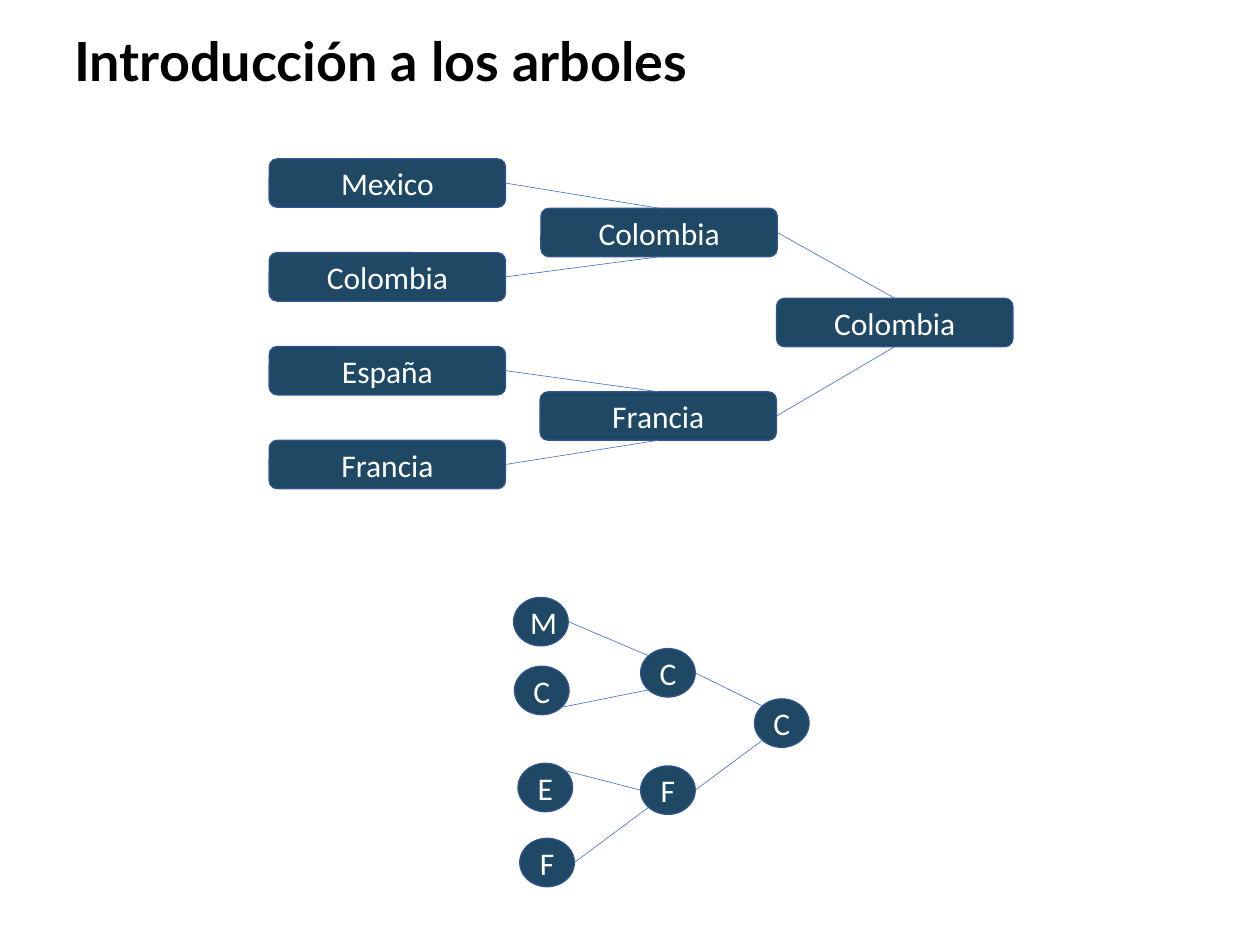
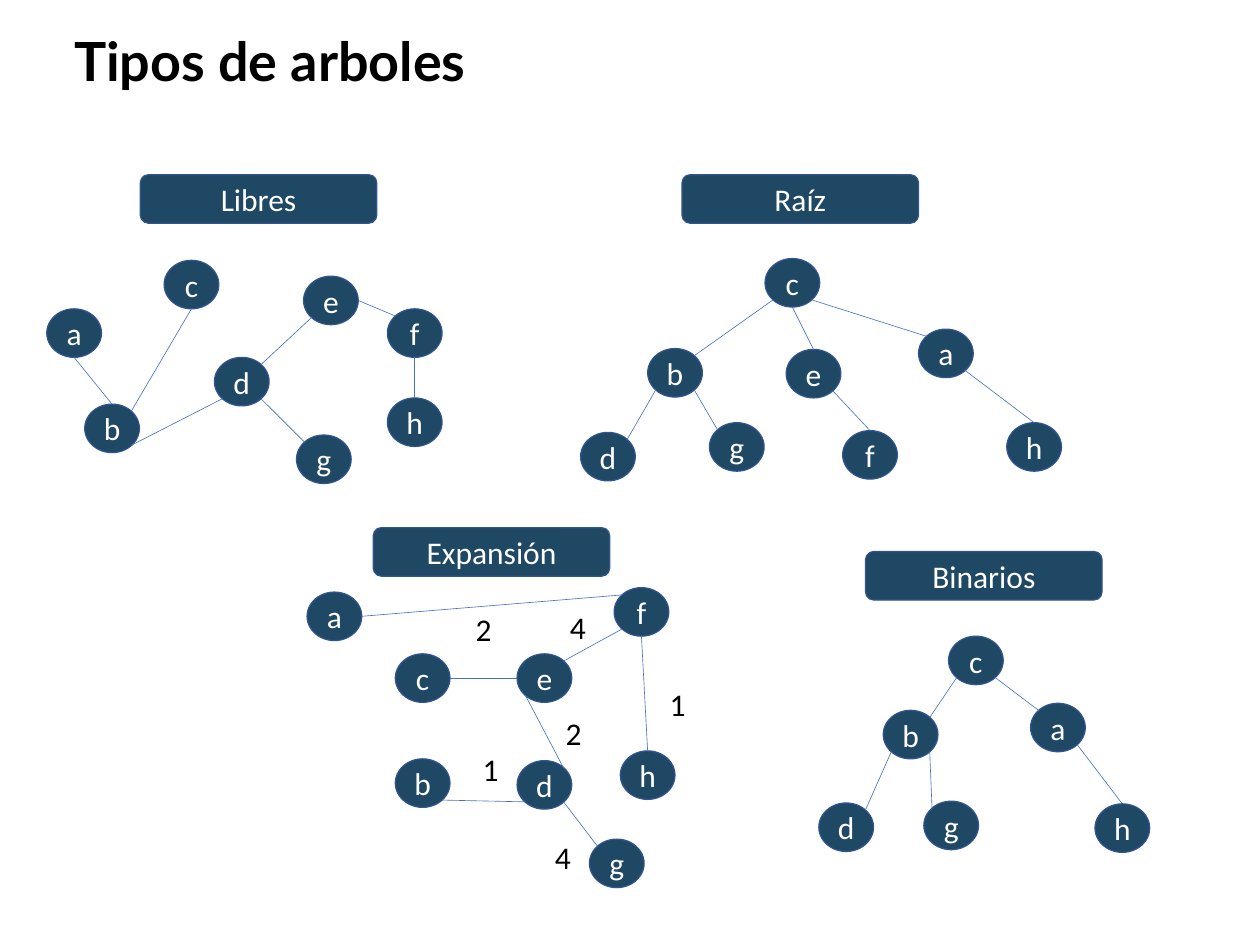
from dataclasses import dataclass
from itertools import starmap

from lxml import etree
from pptx import Presentation
from pptx.dml.color import RGBColor
from pptx.enum.shapes import MSO_CONNECTOR, MSO_SHAPE
from pptx.enum.text import MSO_ANCHOR, MSO_AUTO_SIZE, PP_ALIGN
from pptx.oxml.ns import qn
from pptx.util import Inches, Pt

ROUNDED, OVAL = MSO_SHAPE.ROUNDED_RECTANGLE, MSO_SHAPE.OVAL
STRAIGHT = MSO_CONNECTOR.STRAIGHT
MIDDLE, CENTER, LEFT = MSO_ANCHOR.MIDDLE, PP_ALIGN.CENTER, PP_ALIGN.LEFT
FIT_SHAPE = MSO_AUTO_SIZE.SHAPE_TO_FIT_TEXT

# The grid: square modules, 142.8 columns by 107.1 rows
MODULE = Inches(0.1)
COLUMNS, ROWS = 142.8, 107.1
BAR, DISC, WEIGHT = (26.8, 5.5), (6.2, 5.5), (3.8, 5.3)
TITLE_BOX = (8.4, 3.9, 127.9, 7.2)
TITLE_ONLY = 5

# Connection sites: name -> (index, share of width, share of height)
BAR_SITES = {"n": (0, 0.5, 0), "w": (1, 0, 0.5), "s": (2, 0.5, 1), "e": (3, 1, 0.5)}
DISC_SITES = {
    "n": (0, 0.5, 0), "nw": (1, 0.15, 0.15), "w": (2, 0, 0.5), "sw": (3, 0.15, 0.85),
    "s": (4, 0.5, 1), "se": (5, 0.85, 0.85), "e": (6, 1, 0.5), "ne": (7, 0.85, 0.15),
}


@dataclass(frozen=True)
class Theme:
    node: RGBColor = RGBColor(0x1F, 0x48, 0x64)
    outline: RGBColor = RGBColor(0x32, 0x54, 0x91)
    edge: RGBColor = RGBColor(0x44, 0x72, 0xC4)
    light: RGBColor = RGBColor(0xFF, 0xFF, 0xFF)
    dark: RGBColor = RGBColor(0, 0, 0)
    title_font: str = "Lato"
    label_font: str = "Calibri"
    title_size: Pt = Pt(44)
    label_size: Pt = Pt(25.7)
    outline_width: Pt = Pt(1)
    edge_width: Pt = Pt(0.5)


THEME = Theme()


def modules(*counts):
    return [round(count * MODULE) for count in counts]


def write_label(frame, text, color):
    para = frame.paragraphs[0]
    para.text = text
    para.alignment = CENTER
    para.font.name, para.font.size = THEME.label_font, THEME.label_size
    para.font.color.rgb = color


def add_node(page, kind, size, text, left, top):
    node = page.shapes.add_shape(kind, *modules(left, top, *size))
    node.shadow.inherit = False
    node.fill.solid()
    node.fill.fore_color.rgb = THEME.node
    node.line.color.rgb = THEME.outline
    node.line.width = THEME.outline_width
    node.text_frame.vertical_anchor = MIDDLE
    write_label(node.text_frame, text, THEME.light)
    return node


def add_edge(page, nodes, sites, edge):
    """Join two nodes; an edge reads 'node.site-node.site'."""
    ends = []
    for end in edge.split("-"):
        key, site = end.split(".")
        node = nodes[key]
        index, across, down = sites[site]
        point = (round(node.left + across * node.width),
                 round(node.top + down * node.height))
        ends.append((node, index, point))
    line = page.shapes.add_connector(STRAIGHT, *ends[0][2], *ends[1][2])
    line.line.color.rgb = THEME.edge
    line.line.width = THEME.edge_width
    etree.SubElement(line._element.spPr, qn("a:effectLst"))
    # Glue both ends to their nodes
    links = line._element.find(".//" + qn("p:cNvCxnSpPr"))
    for tag, (node, index, _) in zip(("a:stCxn", "a:endCxn"), ends):
        etree.SubElement(links, qn(tag), id=str(node.shape_id), idx=str(index))


def add_tree(page, origin, places, edges, kind=OVAL, size=DISC, sites=DISC_SITES):
    """Place nodes relative to origin; digits in a key only tell namesakes apart."""
    nodes = {
        key: add_node(page, kind, size, key.rstrip("0123456789"),
                      origin[0] + left, origin[1] + top)
        for key, (left, top) in places.items()
    }
    for edge in edges.split():
        add_edge(page, nodes, sites, edge)


def add_weight(page, text, left, top):
    box = page.shapes.add_textbox(*modules(left, top, *WEIGHT))
    box.text_frame.word_wrap = False
    box.text_frame.auto_size = FIT_SHAPE
    write_label(box.text_frame, text, THEME.dark)


def add_tree_type(page, origin, heading, heading_left, places, edges, weights=()):
    """A heading bar, its tree and the weights of the edges."""
    left, top = origin
    add_node(page, ROUNDED, BAR, heading, left + heading_left, top)
    add_tree(page, origin, places, edges)
    for text, across, down in weights:
        add_weight(page, text, left + across, top + down)


def add_page(deck, title):
    page = deck.slides.add_slide(deck.slide_layouts[TITLE_ONLY])
    box = page.shapes.title
    box.left, box.top, box.width, box.height = modules(*TITLE_BOX)
    frame = box.text_frame
    frame.word_wrap, frame.auto_size = True, FIT_SHAPE
    frame.vertical_anchor = MIDDLE
    (frame.margin_left, frame.margin_top,
     frame.margin_right, frame.margin_bottom) = modules(0, 0, 1, 0.5)
    para = frame.paragraphs[0]
    para.text = title
    para.alignment, para.line_spacing = LEFT, 0.9
    para.font.name, para.font.size = THEME.title_font, THEME.title_size
    para.font.bold = True
    para.font.color.rgb = THEME.dark
    return page


def add_bracket(page, origin):
    """Knockout bracket: four teams, two semifinal winners, one champion."""
    teams = ("Mexico", "Colombia1", "España", "Francia1")
    places = {team: (0, 10.63 * row) for row, team in enumerate(teams)}
    places |= {"Colombia2": (30.8, 5.6), "Francia2": (30.7, 26.4),
               "Colombia3": (57.5, 15.8)}
    edges = ("Mexico.e-Colombia2.n Colombia1.e-Colombia2.s España.e-Francia2.n "
             "Francia1.e-Francia2.s Colombia2.e-Colombia3.n Francia2.e-Colombia3.s")
    add_tree(page, origin, places, edges, ROUNDED, BAR, BAR_SITES)


def build_introduction(deck):
    page = add_page(deck, "Introducción a los arboles")
    add_bracket(page, (30.5, 18))
    # The same bracket as initials
    add_tree(
        page, (58.2, 67.7),
        {"M": (0, 0), "C1": (0.1, 7.8), "E": (0.5, 18.8), "F1": (0.7, 27.3),
         "C2": (14.4, 5.8), "F2": (14.4, 19.1), "C3": (27.3, 11.5)},
        "M.e-C2.nw C1.se-C2.sw E.ne-F2.w F1.e-F2.sw C2.e-C3.nw F2.e-C3.sw")


def build_types(deck):
    page = add_page(deck, "Tipos de arboles")
    tree_types = (
        ((5.3, 19.8), "Libres", 10.6,
         {"a": (0, 15.2), "c": (13.3, 9.7), "d": (19, 20.7), "b": (4.3, 26),
          "e": (29.1, 11.5), "f": (38.6, 15.2), "g": (28.3, 29.5), "h": (38.6, 25.3)},
         "h.n-f.s b.n-a.s b.ne-c.s b.se-d.sw d.se-g.nw d.ne-e.sw e.e-f.nw"),
        ((65.8, 19.8), "Raíz", 11.5,
         {"a": (38.3, 17.5), "c": (20.9, 9.5), "d": (0, 29.2), "b": (7.6, 19.7),
          "e": (23.3, 19.8), "f": (29.7, 29), "g": (14.6, 28.1), "h": (48.3, 28.1)},
         "h.n-a.se b.ne-c.sw b.sw-d.ne b.se-g.nw c.s-e.n c.se-a.nw f.n-e.se"),
        ((34.8, 59.8), "Expansión", 7.5,
         {"a": (0, 7.3), "c": (10, 14.3), "d": (23.8, 26.4), "b": (10, 26.2),
          "e": (23.8, 14.3), "f": (34.8, 6.8), "g": (32, 35.3), "h": (35.5, 25.3)},
         "h.n-f.s b.se-d.sw d.se-g.nw d.ne-e.sw a.e-f.nw e.ne-f.sw e.w-c.e",
         (("2", 18.1, 8.8), ("4", 27.1, 34.7), ("1", 18.9, 24.7),
          ("2", 28.3, 20.6), ("1", 40.1, 17.3), ("4", 28.8, 8.6))),
        ((92.8, 62.5), "Binarios", 5.3,
         {"a": (24, 17.2), "c": (14.7, 9.6), "d": (0, 28.5), "b": (7.3, 18),
          "g": (11.9, 28.3), "h": (31.3, 28.6)},
         "h.n-a.se b.ne-c.sw b.sw-d.ne b.se-g.nw c.se-a.nw"),
    )
    for tree_type in tree_types:
        add_tree_type(page, *tree_type)


def main():
    deck = Presentation()
    deck.slide_width, deck.slide_height = modules(COLUMNS, ROWS)
    build_introduction(deck)
    build_types(deck)
    deck.save("out.pptx")


if __name__ == "__main__":
    main()
